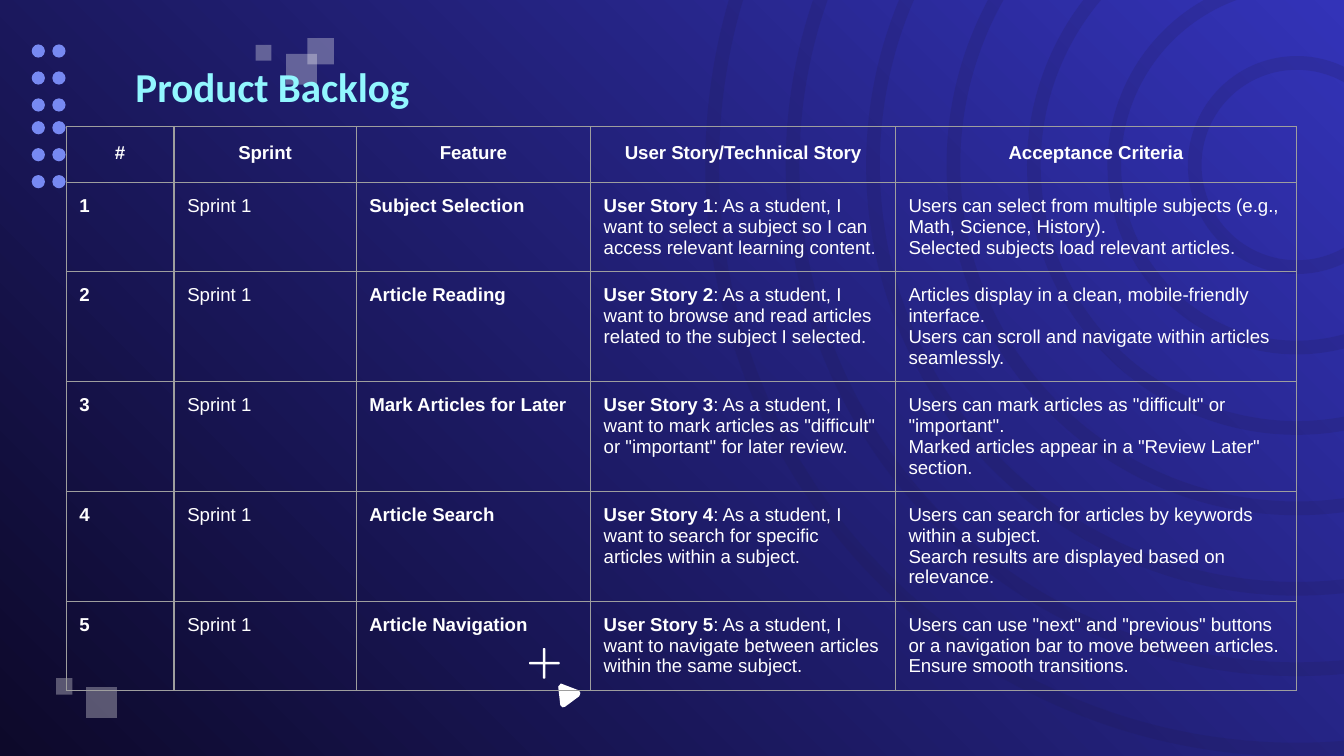
from lxml.etree import SubElement
from pptx import Presentation
from pptx.dml.color import RGBColor
from pptx.enum.shapes import MSO_SHAPE
from pptx.enum.text import MSO_ANCHOR, MSO_AUTO_SIZE, PP_ALIGN
from pptx.oxml.ns import qn
from pptx.util import Cm, Pt

TITLE = "Product Backlog"
HEADERS = ["#", "Sprint", "Feature", "User Story/Technical Story", "Acceptance Criteria"]
# Feature, user story, acceptance criteria
STORIES = [
    ("Subject Selection",
     "want to select a subject so I can access relevant learning content.",
     ["Users can select from multiple subjects (e.g., Math, Science, History).",
      "Selected subjects load relevant articles."]),
    ("Article Reading",
     "want to browse and read articles related to the subject I selected.",
     ["Articles display in a clean, mobile-friendly interface.",
      "Users can scroll and navigate within articles seamlessly."]),
    ("Mark Articles for Later",
     'want to mark articles as "difficult" or "important" for later review.',
     ['Users can mark articles as "difficult" or "important".',
      'Marked articles appear in a "Review Later" section.']),
    ("Article Search",
     "want to search for specific articles within a subject.",
     ["Users can search for articles by keywords within a subject.",
      "Search results are displayed based on relevance."]),
    ("Article Navigation",
     "want to navigate between articles within the same subject.",
     ['Users can use "next" and "previous" buttons or a navigation bar to move between articles.',
      "Ensure smooth transitions."]),
]

NIGHT = RGBColor(0x0D, 0x09, 0x2A)
INDIGO = RGBColor(0x33, 0x33, 0xB8)
RING = RGBColor(0x20, 0x1A, 0x4A)
DOT = RGBColor(0x77, 0x89, 0xF2)
CYAN = RGBColor(0x92, 0xF7, 0xFF)
WHITE = RGBColor(0xFF, 0xFF, 0xFF)
BORDER = RGBColor(0x9E, 0x9E, 0x9E)

# All lengths in centimetres
COLUMN_WIDTHS = [2.04, 3.44, 4.43, 5.76, 7.58]
ROW_HEIGHT = 1.06
TABLE_LEFT, TABLE_TOP = 1.25, 2.39
RING_CENTER = (24.51, 3.12)
RING_COUNT, RING_STEP, RING_WIDTH, INNER_RADIUS = 7, 1.52, 0.26, 2.06
DOT_SIZE, DOT_STEP = 0.25, 0.51
DOT_COLUMNS, DOT_BLOCK_TOPS = [0.6, 0.99], [0.84, 2.29]
# Left, top, side
SQUARES = [(5.81, 0.72, 0.5), (5.41, 1.02, 0.58), (4.83, 0.85, 0.3),
           (1.63, 12.99, 0.58), (1.06, 12.82, 0.31)]
# Left, top, width, height
PLUS_BARS = [(10.26, 12.25, 0.05, 0.58), (10.0, 12.51, 0.58, 0.05)]
POINTER = [(10.6, 12.92), (10.55, 12.98), (10.59, 13.33), (10.63, 13.37),
           (10.68, 13.36), (10.95, 13.16), (10.97, 13.1), (10.94, 13.05)]


def paint(shape, color, opacity=100):
    shape.shadow.inherit = False
    shape.fill.solid()
    shape.fill.fore_color.rgb = color
    shape.line.fill.background()
    if opacity < 100:
        color_element = shape.fill._xPr.find(qn("a:solidFill"))[0]
        SubElement(color_element, qn("a:alpha")).set("val", str(opacity * 1000))


def add_shape(slide, kind, left, top, width, height, color, opacity=100):
    shape = slide.shapes.add_shape(kind, Cm(left), Cm(top), Cm(width), Cm(height))
    paint(shape, color, opacity)
    return shape


def add_background(slide):
    fill = slide.background.fill
    fill.gradient()
    fill.gradient_angle = 45
    for stop, position, color in zip(fill.gradient_stops, (0, 1), (NIGHT, INDIGO)):
        stop.position = position
        stop.color.rgb = color


def add_decorations(slide):
    center_x, center_y = RING_CENTER
    for index in reversed(range(RING_COUNT)):
        radius = INNER_RADIUS + index * RING_STEP
        ring = add_shape(slide, MSO_SHAPE.DONUT, center_x - radius, center_y - radius,
                         2 * radius, 2 * radius, RING, 17)
        ring.adjustments[0] = RING_WIDTH / (2 * radius)
    for left, top, side in SQUARES:
        add_shape(slide, MSO_SHAPE.RECTANGLE, left, top, side, side, WHITE, 31)
    for block_top in DOT_BLOCK_TOPS:
        for left in DOT_COLUMNS:
            for row in range(3):
                add_shape(slide, MSO_SHAPE.OVAL, left, block_top + row * DOT_STEP,
                          DOT_SIZE, DOT_SIZE, DOT)
    for bar in PLUS_BARS:
        add_shape(slide, MSO_SHAPE.ROUNDED_RECTANGLE, *bar, WHITE).adjustments[0] = 0.5
    points = [(Cm(x), Cm(y)) for x, y in POINTER]
    builder = slide.shapes.build_freeform(*points[0])
    builder.add_line_segments(points[1:], close=True)
    paint(builder.convert_to_shape(), WHITE)


def add_run(paragraph, text, size, font_name, color, bold):
    run = paragraph.add_run()
    run.text = text
    run.font.size = Pt(size)
    run.font.name = font_name
    run.font.color.rgb = color
    run.font.bold = bold


def set_title(slide):
    title = slide.shapes.title
    title.left, title.top, title.width, title.height = Cm(2.31), Cm(1.04), Cm(11.58), Cm(1.17)
    frame = title.text_frame
    frame.word_wrap = True
    frame.auto_size = MSO_AUTO_SIZE.NONE
    frame.vertical_anchor = MSO_ANCHOR.MIDDLE
    frame.margin_left = frame.margin_right = frame.margin_top = frame.margin_bottom = Cm(0.25)
    frame.paragraphs[0].alignment = PP_ALIGN.LEFT
    add_run(frame.paragraphs[0], TITLE, 22, "Calibri", CYAN, True)
    # Bring the title in front of the decorations
    title.element.getparent().append(title.element)


def set_borders(cell):
    properties = cell._tc.get_or_add_tcPr()
    for side in ("a:lnL", "a:lnR", "a:lnT", "a:lnB"):
        line = SubElement(properties, qn(side), w=str(Pt(0.75)))
        fill = SubElement(line, qn("a:solidFill"))
        SubElement(fill, qn("a:srgbClr"), val=str(BORDER))


def fill_cell(cell, paragraphs, header=False):
    """Write paragraphs, each a list of (text, bold) runs, into a bordered cell."""
    set_borders(cell)
    cell.fill.background()
    cell.margin_left = cell.margin_right = cell.margin_top = cell.margin_bottom = Cm(0.25)
    frame = cell.text_frame
    for index, runs in enumerate(paragraphs):
        paragraph = frame.add_paragraph() if index else frame.paragraphs[0]
        if header:
            paragraph.alignment = PP_ALIGN.CENTER
            paragraph.line_spacing = 1.15
        for text, bold in runs:
            add_run(paragraph, text, 10, "Arial", WHITE, bold)


def add_backlog_table(slide):
    row_count = len(STORIES) + 1
    table = slide.shapes.add_table(
        row_count, len(HEADERS), Cm(TABLE_LEFT), Cm(TABLE_TOP),
        Cm(sum(COLUMN_WIDTHS)), Cm(ROW_HEIGHT * row_count)).table
    table.first_row = table.horz_banding = False
    for column, width in zip(table.columns, COLUMN_WIDTHS):
        column.width = Cm(width)
    for row in table.rows:
        row.height = Cm(ROW_HEIGHT)
    for column, header in enumerate(HEADERS):
        fill_cell(table.cell(0, column), [[(header, True)]], header=True)
    for number, (feature, story, criteria) in enumerate(STORIES, start=1):
        contents = [
            [[(str(number), True)]],
            [[("Sprint 1", False)]],
            [[(feature, True)]],
            [[(f"User Story {number}", True), (f": As a student, I {story}", False)]],
            [[(criterion, False)] for criterion in criteria],
        ]
        for column, paragraphs in enumerate(contents):
            fill_cell(table.cell(number, column), paragraphs)


def main():
    presentation = Presentation()
    presentation.slide_width, presentation.slide_height = Cm(25.4), Cm(14.29)
    slide = presentation.slides.add_slide(presentation.slide_layouts[5])
    add_background(slide)
    add_decorations(slide)
    set_title(slide)
    add_backlog_table(slide)
    presentation.save("out.pptx")


if __name__ == "__main__":
    main()
